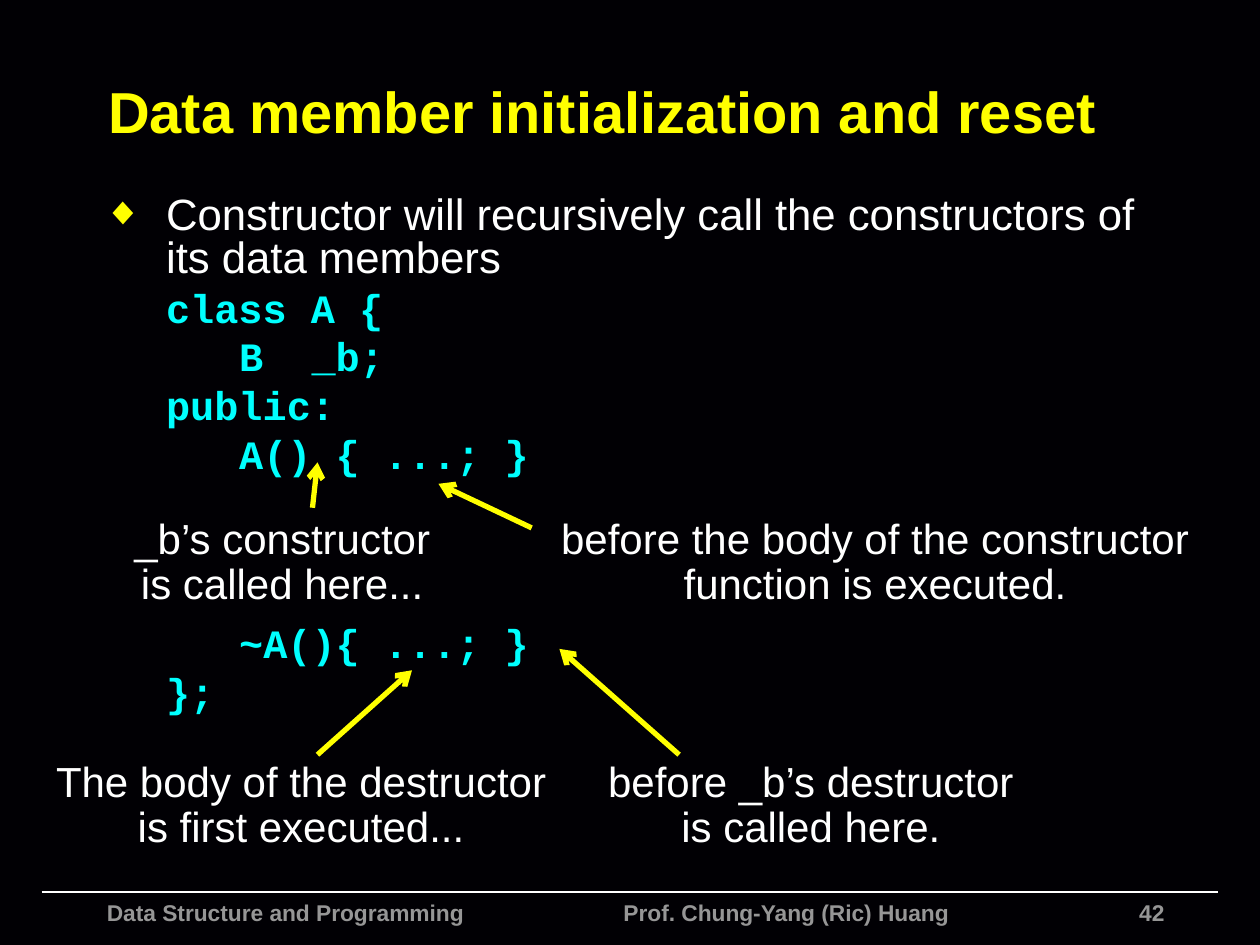
import pptx
import pptx.util
import pptx.dml.color
import pptx.enum.shapes
import pptx.enum.text
import pptx.oxml.ns
import lxml.etree

Inches = pptx.util.Inches
Pt = pptx.util.Pt
ALIGN = pptx.enum.text.PP_ALIGN
ANCHOR = pptx.enum.text.MSO_ANCHOR
qn = pptx.oxml.ns.qn

COLORS = {
    "background": "010004",
    "accent": "FFFF00",
    "code": "00FFFF",
    "text": "FFFFFF",
    "footer": "969696",
}

deck = pptx.Presentation()
deck.slide_width = Inches(10)
deck.slide_height = Inches(7.5)
slide = deck.slides.add_slide(deck.slide_layouts[6])
slide.background.fill.solid()
slide.background.fill.fore_color.rgb = pptx.dml.color.RGBColor.from_string(COLORS["background"])


def add_text(text, box=None, frame=None, size=24, color="text", font="Arial", bold=False,
             align=ALIGN.LEFT, anchor=ANCHOR.TOP, spacing=1.0, before=0, left=0, first=0):
    if frame is None:
        frame = slide.shapes.add_textbox(*[Inches(length) for length in box]).text_frame
        frame.word_wrap = True
        frame.vertical_anchor = anchor
        paragraph = frame.paragraphs[0]
    else:
        paragraph = frame.add_paragraph()
    paragraph.alignment = align
    paragraph.line_spacing = spacing
    paragraph.space_before = Pt(before)
    properties = paragraph._p.get_or_add_pPr()
    properties.set("marL", str(Inches(left)))
    properties.set("indent", str(Inches(first)))
    run = paragraph.add_run()
    run.text = text
    run.font.size = Pt(size)
    run.font.name = font
    run.font.bold = bold
    run.font.color.rgb = pptx.dml.color.RGBColor.from_string(COLORS[color])
    return frame


def add_line(start, end, color, width, arrow=False):
    line = slide.shapes.add_connector(
        pptx.enum.shapes.MSO_CONNECTOR.STRAIGHT, *[Inches(length) for length in start + end])
    line.line.color.rgb = pptx.dml.color.RGBColor.from_string(COLORS[color])
    line.line.width = Pt(width)
    if arrow:
        lxml.etree.SubElement(line.line._get_or_add_ln(), qn("a:tailEnd"), type="arrow")
    lxml.etree.SubElement(line._element.spPr, qn("a:effectLst"))


add_line((0.33, 7.08), (9.67, 7.08), "text", 1)
for footer, box, align in [
    ("Data Structure and Programming", (0.75, 7.08, 3.8, 0.42), ALIGN.LEFT),
    ("Prof. Chung-Yang (Ric) Huang", (4.85, 7.08, 3.14, 0.42), ALIGN.LEFT),
    ("42", (8.34, 7.08, 1, 0.42), ALIGN.RIGHT),
]:
    add_text(footer, box, size=13, color="footer", bold=True, align=align)

add_text("Data member initialization and reset", (0.76, 0.37, 8.84, 1.01),
         size=33, color="accent", bold=True, anchor=ANCHOR.MIDDLE)

body = add_text("Constructor will recursively call the constructors of its data members",
                (0.72, 1.5, 8.5, 5.17), size=25, spacing=0.83, before=5, left=0.5, first=-0.5)
bullet = body.paragraphs[0]._p.get_or_add_pPr()
bullet_color = lxml.etree.SubElement(bullet, qn("a:buClr"))
lxml.etree.SubElement(bullet_color, qn("a:srgbClr"), val=COLORS["accent"])
lxml.etree.SubElement(bullet, qn("a:buSzPct"), val="90000")
lxml.etree.SubElement(bullet, qn("a:buFont"), typeface="Arial")
lxml.etree.SubElement(bullet, qn("a:buChar"), char="◆")

for code, left, before in [
    ("class A {", 0.5, 5),
    ("B  _b;", 1.08, 5),
    ("public:", 0.5, 5),
    ("A() { ...; }", 1.08, 5),
    ("~A(){ ...; }", 1.08, 85),
    ("};", 0.5, 5),
]:
    add_text(code, frame=body, size=23, color="code", font="Courier New", bold=True,
             spacing=0.83, before=before, left=left)

for remark, box, start, end in [
    ("_b’s constructor is called here...", (0.94, 4.06, 2.6, 0.83), (2.48, 4.03), (2.52, 3.67)),
    ("before the body of the constructor function is executed.", (4.25, 4.06, 5.39, 0.83),
     (4.22, 4.19), (3.48, 3.84)),
    ("The body of the destructor is first executed...", (0.34, 5.99, 4.1, 0.83),
     (2.52, 5.99), (3.27, 5.32)),
    ("before _b’s destructor is called here.", (4.69, 5.99, 3.49, 0.83),
     (5.39, 5.99), (4.44, 5.15)),
]:
    add_text(remark, box, align=ALIGN.CENTER, spacing=0.9)
    add_line(start, end, "accent", 3, arrow=True)

deck.save("out.pptx")
